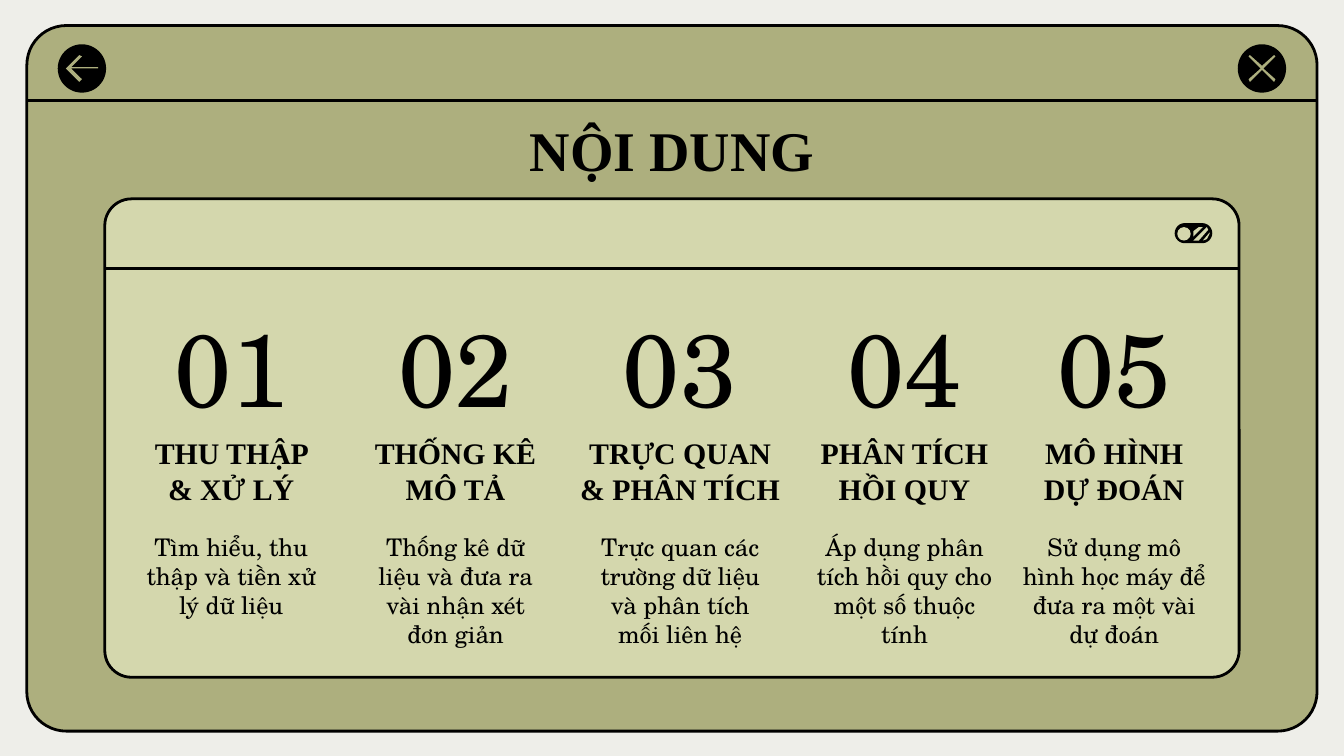
from lxml.etree import SubElement
from pptx import Presentation
from pptx.dml.color import RGBColor
from pptx.enum.shapes import MSO_CONNECTOR, MSO_SHAPE as Shape
from pptx.enum.text import MSO_ANCHOR as Anchor, MSO_AUTO_SIZE as AutoSize, PP_ALIGN as Align
from pptx.oxml.ns import qn
from pptx.util import Inches, Pt

BLACK, OLIVE, PALE, PAPER = "000000", "ADAF7E", "D4D7AD", "EEEEE9"
SERIF, SCHOLA = "Times New Roman", "TeX Gyre Schola"

TOPICS = [
    ("THU THẬP & XỬ LÝ", "Tìm hiểu, thu thập và tiền xử lý dữ liệu"),
    ("THỐNG KÊ MÔ TẢ", "Thống kê dữ liệu và đưa ra vài nhận xét đơn giản"),
    ("TRỰC QUAN & PHÂN TÍCH", "Trực quan các trường dữ liệu và phân tích mối liên hệ"),
    ("PHÂN TÍCH HỒI QUY", "Áp dụng phân tích hồi quy cho một số thuộc tính"),
    ("MÔ HÌNH DỰ ĐOÁN", "Sử dụng mô hình học máy để đưa ra một vài dự đoán"),
]
TOPIC_LEFTS = [0.94, 2.61, 4.28, 5.95, 7.51]

CROSS = [(9, 8), (8, 9), (17, 18), (8, 26), (9, 28), (18, 19),
         (27, 28), (28, 26), (19, 18), (28, 9), (27, 8), (18, 16)]
BACK_ARROW = [(16, 8), (6, 18), (16, 28), (18, 26), (10, 18),
              (30, 18), (30, 17), (10, 17), (18, 9)]
STRIPES = [
    [(21, 3), (14, 10), (14, 6), (18, 3)],
    [(24, 3), (25, 5), (18, 13), (14, 13)],
    [(26, 7), (26, 8), (24, 12), (21, 13)],
]


def rgb(hex_code):
    return RGBColor.from_string(hex_code)


def paint(shape, color, outlined=False):
    shape.shadow.inherit = False
    shape.fill.solid()
    shape.fill.fore_color.rgb = rgb(color)
    if outlined:
        shape.line.color.rgb = rgb(BLACK)
        shape.line.width = Pt(1.5)
    else:
        shape.line.fill.background()


def add_solid(slide, kind, left, top, width, height, color, outlined=False):
    solid = slide.shapes.add_shape(
        kind, Inches(left), Inches(top), Inches(width), Inches(height))
    paint(solid, color, outlined)
    return solid


def add_outline(slide, left, top, points, color):
    corners = [(left * 100 + x, top * 100 + y) for x, y in points]
    builder = slide.shapes.build_freeform(*corners[0], scale=Inches(0.01))
    builder.add_line_segments(corners[1:], close=True)
    paint(builder.convert_to_shape(), color)


def write(frame, text, size, font, bold=False, anchor=Anchor.TOP, spacing=1.0):
    frame.word_wrap = True
    frame.auto_size = AutoSize.NONE
    frame.vertical_anchor = anchor
    frame.margin_left = frame.margin_right = Inches(0.1)
    frame.margin_top = frame.margin_bottom = Inches(0.1)
    paragraph = frame.paragraphs[0]
    paragraph.alignment = Align.CENTER
    paragraph.line_spacing = spacing
    run = paragraph.add_run()
    run.text = text
    run.font.size = Pt(size)
    run.font.name = font
    run.font.bold = bold
    run.font.color.rgb = rgb(BLACK)


def add_text(slide, left, top, width, height, text, size, font, **style):
    box = slide.shapes.add_textbox(
        Inches(left), Inches(top), Inches(width), Inches(height))
    write(box.text_frame, text, size, font, **style)


def add_window(slide, left, top, width, height, bar_height, color):
    window = add_solid(slide, Shape.ROUNDED_RECTANGLE, left, top, width, height, color, True)
    window.adjustments[0] = 0.056
    bar_edge = slide.shapes.add_connector(
        MSO_CONNECTOR.STRAIGHT, Inches(left + 0.01), Inches(top + bar_height),
        Inches(left + width), Inches(top + bar_height))
    bar_edge.line.color.rgb = rgb(BLACK)
    bar_edge.line.width = Pt(1.5)
    SubElement(bar_edge.element.spPr, qn("a:effectLst"))


def add_round_button(slide, left, top, icon):
    add_solid(slide, Shape.OVAL, left, top, 0.36, 0.36, BLACK)
    add_outline(slide, left, top, icon, OLIVE)


def add_toggle(slide, left, top):
    pill = add_solid(slide, Shape.ROUNDED_RECTANGLE, left, top, 0.28, 0.15, BLACK)
    pill.adjustments[0] = 0.5
    add_solid(slide, Shape.OVAL, left + 0.02, top + 0.03, 0.1, 0.1, PALE)
    for stripe in STRIPES:
        add_outline(slide, left, top, stripe, PALE)


def add_heading(slide, left, top, width, height, text):
    heading = slide.shapes.title
    heading.left, heading.top = Inches(left), Inches(top)
    heading.width, heading.height = Inches(width), Inches(height)
    write(heading.text_frame, text, 30, SERIF, bold=True, anchor=Anchor.MIDDLE, spacing=0.7)
    heading.element.getparent().append(heading.element)


def add_topic(slide, left, top, width, number, name, summary):
    overhang = 0.11 if number == 3 else 0
    add_text(slide, left, top, width, 0.8, f"{number:02d}", 55, SCHOLA, anchor=Anchor.MIDDLE)
    add_text(slide, left - overhang, top + 1.1, width + 2 * overhang, 0.44,
             name, 16, SERIF, bold=True, anchor=Anchor.BOTTOM)
    add_text(slide, left, top + 1.53, width, 0.93, summary, 13, SCHOLA)


def build_contents_slide(deck):
    slide = deck.slides.add_slide(deck.slide_layouts[5])
    slide.background.fill.solid()
    slide.background.fill.fore_color.rgb = rgb(PAPER)
    add_window(slide, 0.2, 0.19, 9.6, 5.25, 0.56, OLIVE)
    add_window(slide, 0.78, 1.48, 8.44, 3.56, 0.52, PALE)
    add_round_button(slide, 0.43, 0.33, BACK_ARROW)
    add_round_button(slide, 9.21, 0.33, CROSS)
    add_toggle(slide, 8.74, 1.66)
    add_heading(slide, 0.78, 0.86, 8.44, 0.62, "NỘI DUNG")
    for number, (left, (name, summary)) in enumerate(zip(TOPIC_LEFTS, TOPICS), start=1):
        add_topic(slide, left, 2.33, 1.56, number, name, summary)


def main():
    deck = Presentation()
    deck.slide_width = Inches(10)
    deck.slide_height = deck.slide_width * 9 // 16
    build_contents_slide(deck)
    deck.save("out.pptx")


if __name__ == "__main__":
    main()
